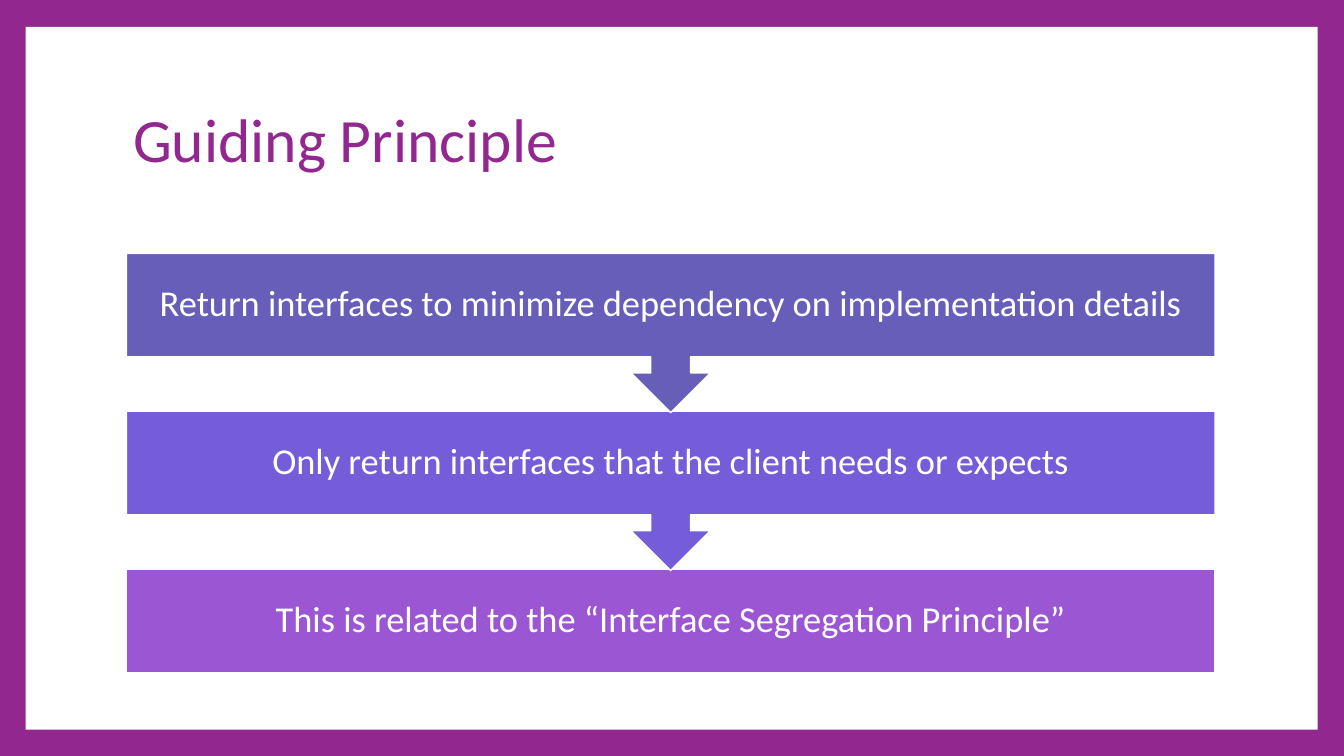
from pptx import Presentation
from pptx.dml.color import RGBColor
from pptx.enum.shapes import MSO_SHAPE
from pptx.enum.text import MSO_ANCHOR, PP_ALIGN
from pptx.util import Inches, Pt

PURPLE = RGBColor(0x92, 0x27, 0x8F)
WHITE = RGBColor(0xFF, 0xFF, 0xFF)
INDIGO = RGBColor(0x66, 0x5E, 0xB8)
VIOLET = RGBColor(0x75, 0x5D, 0xD9)
ORCHID = RGBColor(0x9B, 0x57, 0xD3)

STEPS = [
    ("Return interfaces to minimize dependency on implementation details", INDIGO),
    ("Only return interfaces that the client needs or expects", VIOLET),
    ("This is related to the “Interface Segregation Principle”", ORCHID),
]
BAR_HEIGHT = 1.54
CALLOUT_HEIGHT = 2.37
PITCH = 2.35


def format_text(tf, text, size, color, align):
    tf.word_wrap = True
    tf.vertical_anchor = MSO_ANCHOR.MIDDLE
    p = tf.paragraphs[0]
    p.text = text
    p.alignment = align
    p.line_spacing = 0.9
    p.font.name = "Calibri"
    p.font.size = Pt(size)
    p.font.color.rgb = color


def add_frame(s, left, top, width, height):
    s.background.fill.solid()
    s.background.fill.fore_color.rgb = PURPLE
    panel = s.shapes.add_shape(MSO_SHAPE.RECTANGLE, Inches(left), Inches(top),
                               Inches(width), Inches(height))
    panel.shadow.inherit = False
    panel.fill.solid()
    panel.fill.fore_color.rgb = WHITE
    panel.line.fill.background()
    s.shapes.title.element.addprevious(panel.element)


def add_title(s, text, left, top, width, height):
    title = s.shapes.title
    title.left, title.top = Inches(left), Inches(top)
    title.width, title.height = Inches(width), Inches(height)
    format_text(title.text_frame, text, 66, PURPLE, PP_ALIGN.LEFT)


def add_step(group, text, color, is_last, left, top, width):
    kind = MSO_SHAPE.RECTANGLE if is_last else MSO_SHAPE.UP_ARROW_CALLOUT
    height = BAR_HEIGHT if is_last else CALLOUT_HEIGHT
    sp = group.shapes.add_shape(kind, Inches(left), Inches(top),
                                Inches(width), Inches(height))
    sp.rotation = 0 if is_last else 180
    sp.shadow.inherit = False
    sp.fill.solid()
    sp.fill.fore_color.rgb = color
    sp.line.color.rgb = WHITE
    sp.line.width = Pt(1.5)

    label = group.shapes.add_textbox(Inches(left), Inches(top),
                                     Inches(width), Inches(BAR_HEIGHT))
    tf = label.text_frame
    tf.margin_left = tf.margin_right = Inches(0.3)
    tf.margin_top = tf.margin_bottom = Inches(0.3)
    format_text(tf, text, 39, WHITE, PP_ALIGN.CENTER)


def add_process(s, steps, left, top, width):
    group = s.shapes.add_group_shape()
    last = len(steps) - 1
    for i in range(last, -1, -1):
        text, color = steps[i]
        add_step(group, text, color, i == last, left, top + i * PITCH, width)


def main():
    prs = Presentation()
    prs.slide_width, prs.slide_height = Inches(20), Inches(11.25)
    s = prs.slides.add_slide(prs.slide_layouts.get_by_name("Title Only"))
    add_frame(s, 0.38, 0.4, 19.23, 10.46)
    add_title(s, "Guiding Principle", 1.88, 1, 16.2, 2.23)
    add_process(s, STEPS, 1.88, 3.77, 16.2)
    prs.save("out.pptx")


if __name__ == "__main__":
    main()
